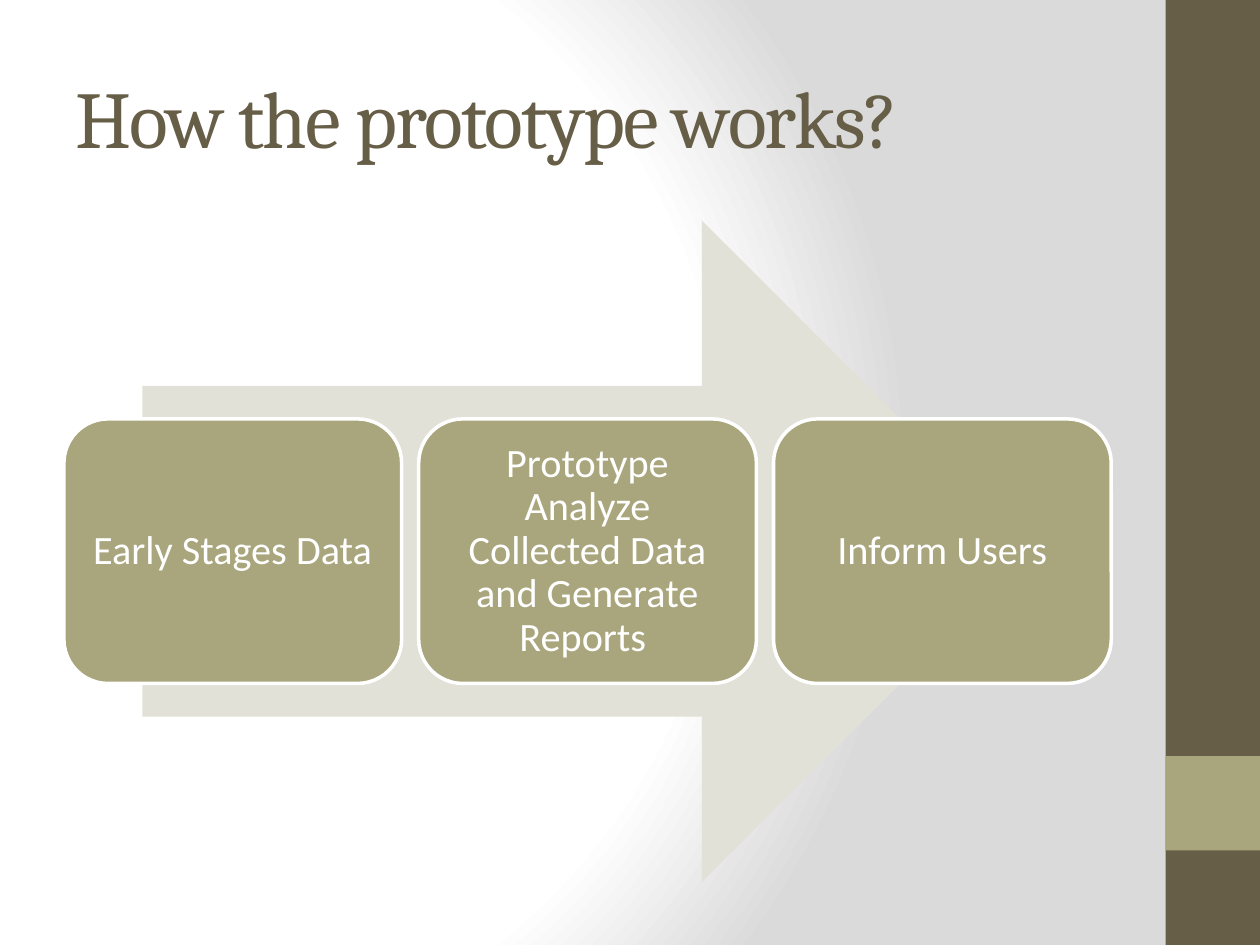
from pptx import Presentation
from pptx.dml.color import RGBColor
from pptx.enum.shapes import MSO_SHAPE
from pptx.enum.text import MSO_ANCHOR, PP_ALIGN
from pptx.oxml import parse_xml
from pptx.oxml.ns import nsdecls
from pptx.util import Pt

RECT = MSO_SHAPE.RECTANGLE
ROUND = MSO_SHAPE.ROUNDED_RECTANGLE
ARROW = MSO_SHAPE.RIGHT_ARROW
MIDDLE = MSO_ANCHOR.MIDDLE
LEFT, CENTER = PP_ALIGN.LEFT, PP_ALIGN.CENTER

HUES = {"dark": "675E47", "olive": "A9A57C", "pale": "E2E1D7",
        "white": "FFFFFF", "grey": "DADADA"}
STEPS = ["Early Stages Data",
         "Prototype Analyze Collected Data and Generate Reports ",
         "Inform Users"]


def color(name):
    """Return the named colour."""
    return RGBColor.from_string(HUES[name])


def add_shape(slide, kind, box, fill, line=None):
    """Add a flat preset shape, outlined only if a line colour is given."""
    shape = slide.shapes.add_shape(kind, *map(Pt, box))
    shape.shadow.inherit = False
    shape.fill.solid()
    shape.fill.fore_color.rgb = color(fill)
    if line:
        shape.line.color.rgb = color(line)
        shape.line.width = Pt(2)
    else:
        shape.line.fill.background()
    return shape


def write(shape, text, size, font, hue, align=LEFT, lead=1.0, inset=3.6, track=0):
    """Write one formatted paragraph into a shape."""
    frame = shape.text_frame
    frame.word_wrap = True
    frame.vertical_anchor = MIDDLE
    frame.margin_left = frame.margin_right = Pt(7.2)
    frame.margin_top = frame.margin_bottom = Pt(inset)
    para = frame.paragraphs[0]
    para.alignment = align
    para.line_spacing = lead
    run = para.add_run()
    run.text = text
    run.font.size = Pt(size)
    run.font.name = font
    run.font.color.rgb = color(hue)
    if track:
        run.font._element.set("spc", str(track * 100))


def add_back(slide):
    """Fill the slide with a radial gradient."""
    stops = "".join(
        f'<a:gs pos="{pos * 1000}"><a:srgbClr val="{HUES[hue]}"/></a:gs>'
        for pos, hue in [(0, "white"), (75, "white"), (100, "grey")])
    slide.element.cSld.insert(0, parse_xml(
        f'<p:bg {nsdecls("p", "a")}><p:bgPr><a:gradFill rotWithShape="1">'
        f'<a:gsLst>{stops}</a:gsLst><a:path path="circle">'
        '<a:fillToRect l="20000" t="50000" r="100000" b="50000"/></a:path>'
        '</a:gradFill><a:effectLst/></p:bgPr></p:bg>'))


def add_band(slide, x, y, w, h):
    """Draw the side band with its square accent."""
    add_shape(slide, RECT, (x, y, w, h), "dark")
    add_shape(slide, RECT, (x, y + h * 0.8, w, w), "olive")


def add_title(slide, x, y, w, h):
    """Place the title."""
    box = slide.shapes.add_textbox(*map(Pt, (x, y, w, h)))
    write(box, "How the prototype works?", 46, "Cambria", "dark", track=-1)


def add_flow(slide, x, y, w, h):
    """Draw the arrow with a row of equal step cards across it."""
    side = w * 0.075
    add_shape(slide, ARROW, (x + side, y, w - 2 * side, h), "pale")
    wide, tall = 193, h * 0.4
    pitch = (w - wide) / (len(STEPS) - 1)
    for i, step in enumerate(STEPS):
        box = (x + i * pitch, y + (h - tall) / 2, wide, tall)
        card = add_shape(slide, ROUND, box, "olive", "white")
        write(card, step, 23, "Calibri", "white", align=CENTER, lead=0.9, inset=7.2)


def main():
    """Build and save the slide."""
    deck = Presentation()
    deck.slide_width, deck.slide_height = Pt(720), Pt(540)
    slide = deck.slides.add_slide(deck.slide_layouts[6])
    add_back(slide)
    add_band(slide, 666, 0, 54, 540)
    add_title(slide, 36, 21.6, 600, 90)
    add_flow(slide, 36.5, 126, 598.5, 378)
    deck.save("out.pptx")


if __name__ == "__main__":
    main()
